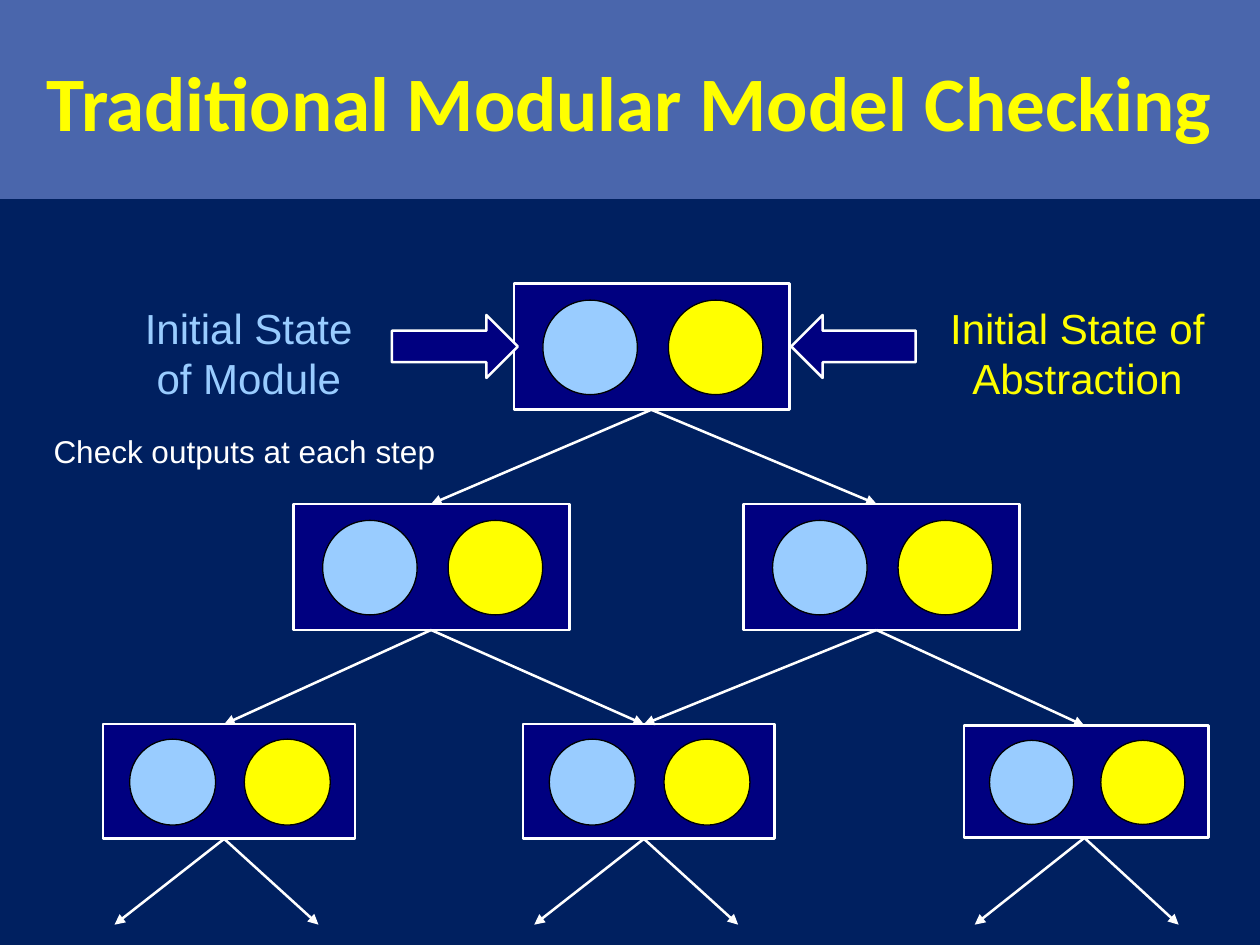
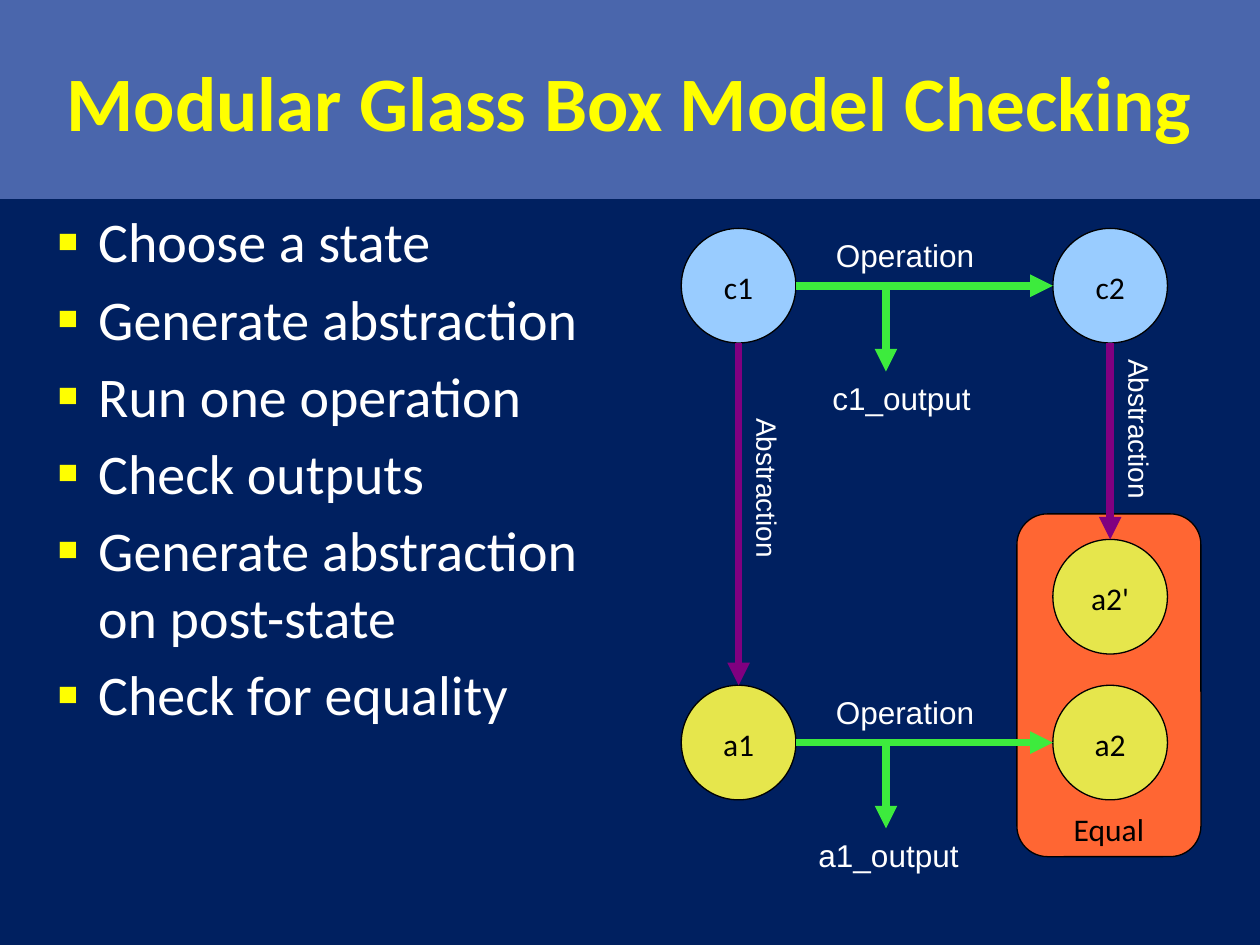
"""Build two slides on modular model checking: a state tree and an abstraction diagram."""
from dataclasses import dataclass

from lxml import etree
from pptx import Presentation
from pptx.dml.color import RGBColor
from pptx.enum.shapes import MSO_CONNECTOR, MSO_SHAPE
from pptx.enum.text import MSO_ANCHOR, PP_ALIGN
from pptx.oxml.ns import qn
from pptx.util import Cm, Pt

RECT, ROUND, OVAL = MSO_SHAPE.RECTANGLE, MSO_SHAPE.ROUNDED_RECTANGLE, MSO_SHAPE.OVAL
RIGHT, LEFT = MSO_SHAPE.RIGHT_ARROW, MSO_SHAPE.LEFT_ARROW
STRAIGHT = MSO_CONNECTOR.STRAIGHT
TOP, MIDDLE, BOTTOM = MSO_ANCHOR.TOP, MSO_ANCHOR.MIDDLE, MSO_ANCHOR.BOTTOM
CENTER, START = PP_ALIGN.CENTER, PP_ALIGN.LEFT


@dataclass(frozen=True)
class Theme:
    back: str = "002060"
    band: str = "4A66AC"
    yellow: str = "FFFF00"
    white: str = "FFFFFF"
    black: str = "000000"
    navy: str = "000080"
    sky: str = "99CCFF"
    olive: str = "E6E64C"
    orange: str = "FF6633"
    green: str = "3DEB3D"
    purple: str = "800080"
    head: str = "Calibri"
    plain: str = "Arial"
    title: float = 44
    body: float = 32
    caption: float = 24
    label: float = 18
    small: float = 16
    thin: float = 0.75
    line: float = 1.45
    thick: float = 4.31


T = Theme()
WIDTH, HEIGHT, BAND_H = 25.4, 19.05, 4.01
INSETS = (0.24, 0.15, 0.24, 0.1)

TREE_TITLE = "Traditional Modular Model Checking"
STATES = {
    "root": (10.36, 5.72, 5.56, 2.54, 13.13),
    "left": (5.92, 10.16, 5.56, 2.54, 8.69),
    "right": (14.99, 10.16, 5.56, 2.54, 17.67),
    "low left": (2.08, 14.6, 5.08, 2.31, 4.52),
    "low middle": (10.54, 14.6, 5.08, 2.31, 12.98),
    "low right": (19.43, 14.63, 4.93, 2.26, 21.86),
}
CHILDREN = {
    "root": ("left", "right"),
    "left": ("low left", "low middle"),
    "right": ("low middle", "low right"),
}
LEAF_REACH, LEAF_Y = (-2.21, 1.9), 18.64
STATE_PAIR = ((0.105, T.sky), (0.56, T.yellow))
POINTERS = [(RIGHT, 7.9, 2.54), (LEFT, 15.95, 2.51)]
NOTES = [
    ("Initial State of Module", (2.26, 5.94, 5.51, 2.13), T.caption, T.sky, CENTER),
    ("Initial State of Abstraction", (18.62, 5.94, 6.2, 2.13), T.caption, T.yellow, CENTER),
    ("Check outputs at each step", (0.84, 8.56, 8.26, 0.97), T.label, T.white, START),
]

GLASS_TITLE = "Modular Glass Box Model Checking"
STEPS = [
    "Choose a state",
    "Generate abstraction",
    "Run one operation",
    "Check outputs",
    "Generate abstraction on post-state",
    "Check for equality",
]
DIAMETER = 2.31
NODES = {
    "c1": (14.89, 5.76, T.sky),
    "c2": (22.38, 5.76, T.sky),
    "a1": (14.89, 14.97, T.olive),
    "a2": (22.38, 14.97, T.olive),
    "a2'": (22.38, 12.03, T.olive),
}
OPERATIONS = [("c1", "c2", "c1_output", 16.54), ("a1", "a2", "a1_output", 16.26)]
ABSTRACTIONS = [
    ("c1", "a1", (13.69, 9.37, 3.45, 1.09)),
    ("c2", "a2'", (21.21, 8.23, 3.48, 1.02)),
]
OUTPUT_X, OUTPUT_DROP = 17.86, 1.73
LABEL_W, LABEL_H = 3.45, 0.86
EQUAL_BOX = (20.5, 10.36, 3.71, 6.91)


def rgb(color):
    return RGBColor.from_string(color)


def lengths(values):
    return [Cm(v) for v in values]


def frame(sp, anchor=TOP, wrap=True, insets=INSETS):
    tf = sp.text_frame
    tf.word_wrap, tf.vertical_anchor = wrap, anchor
    tf.margin_left, tf.margin_top, tf.margin_right, tf.margin_bottom = lengths(insets)
    return tf


def write(p, text, size, color, font=T.plain, align=START, bold=False):
    p.alignment = align
    r = p.add_run()
    r.text = text
    r.font.name, r.font.size, r.font.bold = font, Pt(size), bold
    r.font.color.rgb = rgb(color)


def add_shape(s, kind, box, fill, line=None, width=T.thin):
    sp = s.shapes.add_shape(kind, *lengths(box))
    sp.shadow.inherit = False
    sp.fill.solid()
    sp.fill.fore_color.rgb = rgb(fill)
    if line:
        sp.line.color.rgb = rgb(line)
        sp.line.width = Pt(width)
    else:
        sp.line.fill.background()
    return sp


def add_text(s, text, box, size=T.label, color=T.white, align=START, turn=0):
    sp = s.shapes.add_textbox(*lengths(box))
    sp.rotation = turn
    write(frame(sp).paragraphs[0], text, size, color, align=align)


def add_arrow(s, start, end, color=T.white, width=T.line):
    cx = s.shapes.add_connector(STRAIGHT, *lengths((*start, *end)))
    cx.line.color.rgb = rgb(color)
    cx.line.width = Pt(width)
    etree.SubElement(cx.line._get_or_add_ln(), qn("a:tailEnd"), type="triangle")
    etree.SubElement(cx._element.spPr, qn("a:effectLst"))


def add_slide(prs, title):
    s = prs.slides.add_slide(prs.slide_layouts[6])
    s.background.fill.solid()
    s.background.fill.fore_color.rgb = rgb(T.back)
    sp = add_shape(s, RECT, (0, 0, WIDTH, BAND_H), T.band)
    p = frame(sp, MIDDLE).paragraphs[0]
    write(p, title, T.title, T.yellow, T.head, CENTER, True)
    return s


def add_bullet(p):
    pPr = p._p.get_or_add_pPr()
    pPr.set("marL", str(Cm(1.09)))
    pPr.set("indent", str(Cm(-0.81)))
    clr = etree.SubElement(pPr, qn("a:buClr"))
    etree.SubElement(clr, qn("a:srgbClr"), val=T.yellow)
    etree.SubElement(pPr, qn("a:buSzPct"), val="60000")
    etree.SubElement(pPr, qn("a:buFont"), typeface=T.plain)
    etree.SubElement(pPr, qn("a:buChar"), char="■")


def build_tree(prs):
    s = add_slide(prs, TREE_TITLE)
    for x, y, w, h, _ in STATES.values():
        add_shape(s, RECT, (x, y, w, h), T.navy, T.white, T.line)
        for share, fill in STATE_PAIR:
            box = (x + share * w, y + 0.13 * h, 0.75 * h, 0.75 * h)
            add_shape(s, OVAL, box, fill, T.black)
    for name, (_, y, _, h, joint) in STATES.items():
        if name in CHILDREN:
            ends = [(STATES[c][4], STATES[c][1]) for c in CHILDREN[name]]
        else:
            ends = [(joint + dx, LEAF_Y) for dx in LEAF_REACH]
        for end in ends:
            add_arrow(s, (joint, y + h), end)
    for kind, x, w in POINTERS:
        add_shape(s, kind, (x, 6.35, w, 1.27), T.navy, T.white, T.line)
    for note in NOTES:
        add_text(s, *note)


def build_glass_box(prs):
    s = add_slide(prs, GLASS_TITLE)
    sp = add_shape(s, ROUND, EQUAL_BOX, T.orange, T.black)
    p = frame(sp, BOTTOM, False, (0.24, 0.15, 0.24, 0)).paragraphs[0]
    write(p, "Equal", T.label, T.black, T.head, CENTER)

    sp = s.shapes.add_textbox(*lengths((0.64, 4.04, 12.32, 14.4)))
    tf = frame(sp, insets=(0.25, 0.13, 0.25, 0.13))
    for i, step in enumerate(STEPS):
        p = tf.add_paragraph() if i else tf.paragraphs[0]
        if i:
            p.space_before = Pt(5.7)
        add_bullet(p)
        write(p, step, T.body, T.white, T.head)

    rad = DIAMETER / 2
    for name, (x, y, fill) in NODES.items():
        sp = add_shape(s, OVAL, (x - rad, y - rad, DIAMETER, DIAMETER), fill, T.black)
        p = frame(sp, MIDDLE, False).paragraphs[0]
        write(p, name, T.label, T.black, T.head, CENTER)

    for src, dst, output, output_x in OPERATIONS:
        x, y, _ = NODES[src]
        end_y = y + OUTPUT_DROP
        add_arrow(s, (x + rad, y), (NODES[dst][0] - rad, y), T.green, T.thick)
        add_arrow(s, (OUTPUT_X, y), (OUTPUT_X, end_y), T.green, T.thick)
        add_text(s, "Operation", (16.61, y - rad, LABEL_W, LABEL_H))
        add_text(s, output, (output_x, end_y, LABEL_W, LABEL_H))

    for src, dst, box in ABSTRACTIONS:
        x, y, _ = NODES[src]
        add_arrow(s, (x, y + rad), (x, NODES[dst][1] - rad), T.purple, T.thick)
        add_text(s, "Abstraction", box, T.small, turn=90)


def main():
    prs = Presentation()
    prs.slide_width, prs.slide_height = Cm(WIDTH), Cm(HEIGHT)
    build_tree(prs)
    build_glass_box(prs)
    prs.save("out.pptx")


if __name__ == "__main__":
    main()
